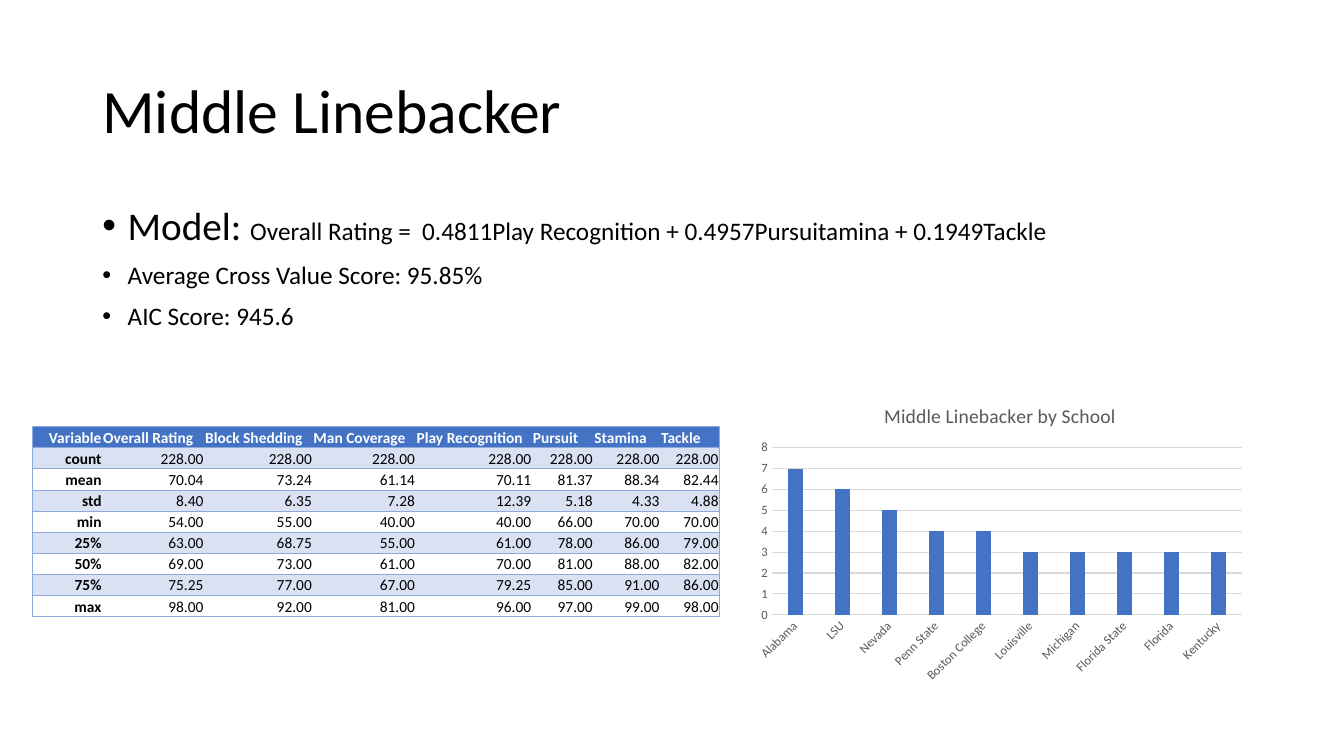
from dataclasses import dataclass

from lxml import etree
from pptx import Presentation
from pptx.chart.data import CategoryChartData
from pptx.dml.color import RGBColor
from pptx.enum import chart as charts, text
from pptx.oxml import ns
from pptx.util import Cm, Pt


@dataclass(frozen=True)
class Theme:
    """Colours, font and type sizes of the slide."""
    font: str = "Calibri"
    ink: str = "000000"
    white: str = "FFFFFF"
    accent: str = "4472C4"
    band: str = "D9E1F2"
    border: str = "8EA9DB"
    muted: str = "595959"
    grid: str = "D9D9D9"
    title: int = 44
    lead: int = 28
    body: int = 18
    chart_title: int = 14
    table: int = 11
    axis: int = 9
    hairline: float = 0.5
    rule: float = 0.75


THEME = Theme()
NO_STYLE = "{2D5ABB26-0587-4C30-8999-92F81FD0307C}"

FACTS = [
    [("Model: ", THEME.lead),
     ("Overall Rating =  0.4811Play Recognition + 0.4957Pursuitamina + 0.1949Tackle", THEME.body)],
    [("Average Cross Value Score: 95.85%", THEME.body)],
    [("AIC Score: 945.6", THEME.body)],
]

HEADINGS = ["Variable", "Overall Rating", "Block Shedding", "Man Coverage",
            "Play Recognition", "Pursuit", "Stamina", "Tackle"]
COLUMN_WIDTHS = [1.76, 2.57, 2.73, 2.6, 2.93, 1.55, 1.68, 1.49]
STATISTICS = {
    "count": [228, 228, 228, 228, 228, 228, 228],
    "mean": [70.04, 73.24, 61.14, 70.11, 81.37, 88.34, 82.44],
    "std": [8.4, 6.35, 7.28, 12.39, 5.18, 4.33, 4.88],
    "min": [54, 55, 40, 40, 66, 70, 70],
    "25%": [63, 68.75, 55, 61, 78, 86, 79],
    "50%": [69, 73, 61, 70, 81, 88, 82],
    "75%": [75.25, 77, 67, 79.25, 85, 91, 86],
    "max": [98, 92, 81, 96, 97, 99, 98],
}

SCHOOLS = {"Alabama": 7, "LSU": 6, "Nevada": 5, "Penn State": 4, "Boston College": 4,
           "Louisville": 3, "Michigan": 3, "Florida State": 3, "Florida": 3, "Kentucky": 3}


def style_font(font, size, colour, bold=False):
    """Apply the theme font with a size, colour and weight."""
    font.name, font.size, font.bold = THEME.font, Pt(size), bold
    font.color.rgb = RGBColor.from_string(colour)


def add_run(paragraph, wording, size, colour=THEME.ink, bold=False):
    """Append one styled run to a paragraph."""
    run = paragraph.add_run()
    run.text = wording
    style_font(run.font, size, colour, bold)


def add_frame(slide, box, anchor):
    """Add a wrapping text box and return its text frame."""
    frame = slide.shapes.add_textbox(*map(Cm, box)).text_frame
    frame.word_wrap = True
    frame.vertical_anchor = anchor
    return frame


def add_bullet(paragraph):
    """Give a paragraph a hanging round bullet."""
    properties = paragraph._p.get_or_add_pPr()
    properties.set("marL", str(Cm(0.64)))
    properties.set("indent", str(-Cm(0.64)))
    etree.SubElement(properties, ns.qn("a:buFont"), typeface="Arial")
    etree.SubElement(properties, ns.qn("a:buChar"), char="•")


def draw_heading(slide, box):
    """Place the slide heading."""
    heading = add_frame(slide, box, text.MSO_ANCHOR.MIDDLE).paragraphs[0]
    heading.line_spacing = 0.9
    add_run(heading, "Middle Linebacker", THEME.title)


def draw_facts(slide, box):
    """Place the bulleted model facts."""
    frame = add_frame(slide, box, text.MSO_ANCHOR.TOP)
    for index, pieces in enumerate(FACTS):
        fact = frame.add_paragraph() if index else frame.paragraphs[0]
        fact.line_spacing = 0.9
        fact.space_before = Pt(10)
        add_bullet(fact)
        for wording, size in pieces:
            add_run(fact, wording, size)


def add_borders(cell, sides):
    """Draw thin borders on the given sides of a table cell."""
    properties = cell._tc.get_or_add_tcPr()
    for position, side in enumerate(sides):
        line = etree.Element(ns.qn(f"a:ln{side}"), w=str(Pt(THEME.hairline)))
        fill = etree.SubElement(line, ns.qn("a:solidFill"))
        etree.SubElement(fill, ns.qn("a:srgbClr"), val=THEME.border)
        properties.insert(position, line)


def fill_cell(cell, wording, row, column):
    """Write and style one cell of the statistics table."""
    cell.margin_left = cell.margin_top = cell.margin_right = Cm(0.02)
    cell.margin_bottom = 0
    cell.vertical_anchor = text.MSO_ANCHOR.BOTTOM
    entry = cell.text_frame.paragraphs[0]
    if row and True or column == 0:
        entry.alignment = text.PP_ALIGN.RIGHT
    add_run(entry, wording, THEME.table, THEME.ink if row else THEME.white,
            bold=row == 0 or column == 0)
    if row and row % 2 == 0:
        cell.fill.background()
    else:
        cell.fill.solid()
        cell.fill.fore_color.rgb = RGBColor.from_string(THEME.band if row else THEME.accent)
    outer = {0: "L", len(HEADINGS) - 1: "R"}.get(column, "")
    add_borders(cell, outer + "TB")


def draw_statistics(slide, box):
    """Place the table of summary statistics."""
    rows = [HEADINGS] + [[name] + [f"{value:.2f}" for value in values]
                         for name, values in STATISTICS.items()]
    table = slide.shapes.add_table(len(rows), len(HEADINGS), *map(Cm, box)).table
    table.first_row = table.horz_banding = False
    table._tbl.tblPr.find(ns.qn("a:tableStyleId")).text = NO_STYLE
    for column, width in zip(table.columns, COLUMN_WIDTHS):
        column.width = Cm(width)
    for row, entries in enumerate(rows):
        table.rows[row].height = Cm(box[3] / len(rows))
        for column, wording in enumerate(entries):
            fill_cell(table.cell(row, column), wording, row, column)


def style_axis(axis):
    """Set the ticks and label type of a chart axis."""
    axis.major_tick_mark = axis.minor_tick_mark = charts.XL_TICK_MARK.NONE
    style_font(axis.tick_labels.font, THEME.axis, THEME.muted)


def style_rule(line):
    """Style an axis line or gridline."""
    line.width = Pt(THEME.rule)
    line.color.rgb = RGBColor.from_string(THEME.grid)


def draw_schools(slide, box):
    """Place the column chart of players by school."""
    data = CategoryChartData()
    data.categories = list(SCHOOLS)
    data.add_series("Series 1", list(SCHOOLS.values()))
    chart = slide.shapes.add_chart(
        charts.XL_CHART_TYPE.COLUMN_CLUSTERED, *map(Cm, box), data).chart
    style_font(chart.font, 10, THEME.ink)
    chart.has_legend = False
    chart.has_title = True
    add_run(chart.chart_title.text_frame.paragraphs[0], "Middle Linebacker by School",
            THEME.chart_title, THEME.muted)
    chart.chart_title.include_in_layout = False

    plot = chart.plots[0]
    plot.vary_by_categories = False
    plot.gap_width, plot.overlap = 219, -27
    columns = plot.series[0].format.fill
    columns.solid()
    columns.fore_color.rgb = RGBColor.from_string(THEME.accent)

    schools, players = chart.category_axis, chart.value_axis
    style_axis(schools)
    style_axis(players)
    style_rule(schools.format.line)
    schools._element.find(ns.qn("c:txPr")).find(ns.qn("a:bodyPr")).set("rot", "-2700000")
    players.minimum_scale, players.maximum_scale, players.major_unit = 0, 8, 1
    players.format.line.fill.background()
    style_rule(players.major_gridlines.format.line)


def main():
    """Build the slide and save it."""
    deck = Presentation()
    deck.slide_width, deck.slide_height = Cm(33.87), Cm(19.05)
    slide = deck.slides.add_slide(deck.slide_layouts[6])
    draw_heading(slide, (2.33, 1.01, 29.21, 3.68))
    draw_facts(slide, (2.33, 5.07, 29.21, 12.09))
    draw_schools(slide, (18.85, 9.75, 12.7, 7.62))
    draw_statistics(slide, (0.82, 10.75, sum(COLUMN_WIDTHS), 4.78))
    deck.save("out.pptx")


if __name__ == "__main__":
    main()
